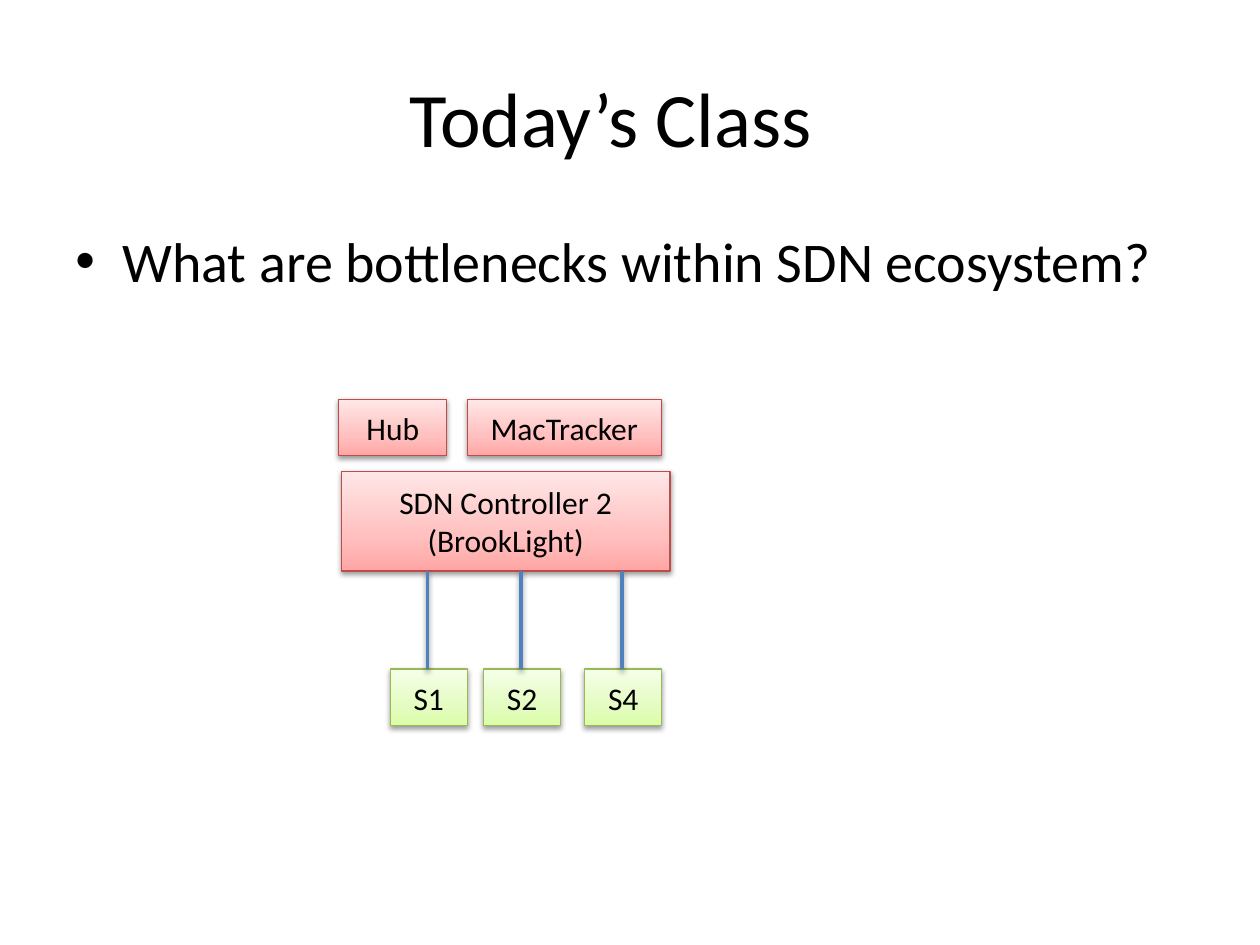
from pptx import Presentation
from pptx.dml.color import RGBColor
from pptx.enum.shapes import MSO_CONNECTOR as Link, MSO_SHAPE as Form
from pptx.enum.text import MSO_ANCHOR as Anchor, PP_ALIGN as Align
from pptx.oxml import parse_xml
from pptx.util import Cm, Pt

NS = 'xmlns:a="http://schemas.openxmlformats.org/drawingml/2006/main"'
RED = ("BF4C48", ("FFA6A5", "FFC0BF", "FFE7E7"))
GREEN = ("98B955", ("DAFDA7", "E4FCC2", "F5FFE7"))


def color(code):
    return RGBColor.from_string(code)


def write(frame, text, size=18, align=Align.CENTER, anchor=Anchor.MIDDLE, bullet=False):
    frame.word_wrap = True
    frame.vertical_anchor = anchor
    for i, line in enumerate(text.split("\n")):
        para = frame.add_paragraph() if i else frame.paragraphs[0]
        para.alignment = align
        run = para.add_run()
        run.text = line
        run.font.size = Pt(size)
        run.font.name = "Calibri"
        run.font.color.rgb = color("000000")
        if bullet:
            props = para._p.get_or_add_pPr()
            props.set("marL", str(Cm(0.95)))
            props.set("indent", str(-Cm(0.95)))
            props.append(parse_xml(f'<a:buFont {NS} typeface="Arial"/>'))
            props.append(parse_xml(f'<a:buChar {NS} char="•"/>'))


def shade(part):
    """Add a soft shadow below a box or a link."""
    part._element.spPr.append(parse_xml(
        f'<a:effectLst {NS}><a:outerShdw blurRad="{Pt(3.1)}" dist="{Pt(1.6)}" '
        'dir="5400000" rotWithShape="0"><a:srgbClr val="000000">'
        '<a:alpha val="38000"/></a:srgbClr></a:outerShdw></a:effectLst>'))


def add_box(slide, text, x, y, w, h, style):
    edge, tones = style
    box = slide.shapes.add_shape(Form.RECTANGLE, Cm(x), Cm(y), Cm(w), Cm(h))
    # Three-stop gradient, light at the top
    box.fill.gradient()
    box.fill.gradient_angle = 90
    stops = "".join(f'<a:gs pos="{pos}000"><a:srgbClr val="{tone}"/></a:gs>'
                    for pos, tone in zip((0, 35, 100), tones))
    grad = box._element.spPr.gradFill
    grad.replace(grad.gsLst, parse_xml(f"<a:gsLst {NS}>{stops}</a:gsLst>"))
    box.line.color.rgb = color(edge)
    box.line.width = Pt(0.75)
    shade(box)
    write(box.text_frame, text)


def add_link(slide, x, top, end):
    link = slide.shapes.add_connector(Link.STRAIGHT, Cm(x), Cm(end), Cm(x), Cm(top))
    link.line.color.rgb = color("4F81BD")
    link.line.width = Pt(2)
    shade(link)


def add_title(slide, text, x, y, w, h):
    title = slide.shapes.title
    title.left, title.top, title.width, title.height = Cm(x), Cm(y), Cm(w), Cm(h)
    write(title.text_frame, text, size=44)


def add_body(slide, text, x, y, w, h):
    body = slide.shapes.add_textbox(Cm(x), Cm(y), Cm(w), Cm(h))
    write(body.text_frame, text, size=32, align=Align.LEFT, anchor=Anchor.TOP, bullet=True)


def add_stack(slide, x, y):
    """Apps on top, the controller below them, and its switches."""
    row = 1.14
    # Apps
    add_box(slide, "Hub", x, y, 2.18, row, RED)
    add_box(slide, "MacTracker", x + 2.59, y, 3.91, row, RED)
    # Controller
    top, tall = y + 1.45, 2.01
    add_box(slide, "SDN Controller 2\n(BrookLight)", x + 0.05, top, 6.63, tall, RED)
    # Switches
    low = y + 5.44
    for name, dx in (("S1", 1.04), ("S2", 2.92), ("S4", 4.96)):
        add_box(slide, name, x + dx, low, 1.55, row, GREEN)
        add_link(slide, x + dx + 0.75, top + tall, low)


deck = Presentation()
deck.slide_width, deck.slide_height = Cm(25.4), Cm(19.05)
slide = deck.slides.add_slide(deck.slide_layouts[5])
add_title(slide, "Today’s Class\t", 1.27, 0.76, 22.86, 3.18)
add_body(slide, "What are bottlenecks within SDN ecosystem?", 1.27, 4.45, 22.86, 12.57)
add_stack(slide, 6.83, 8.05)
deck.save("out.pptx")
